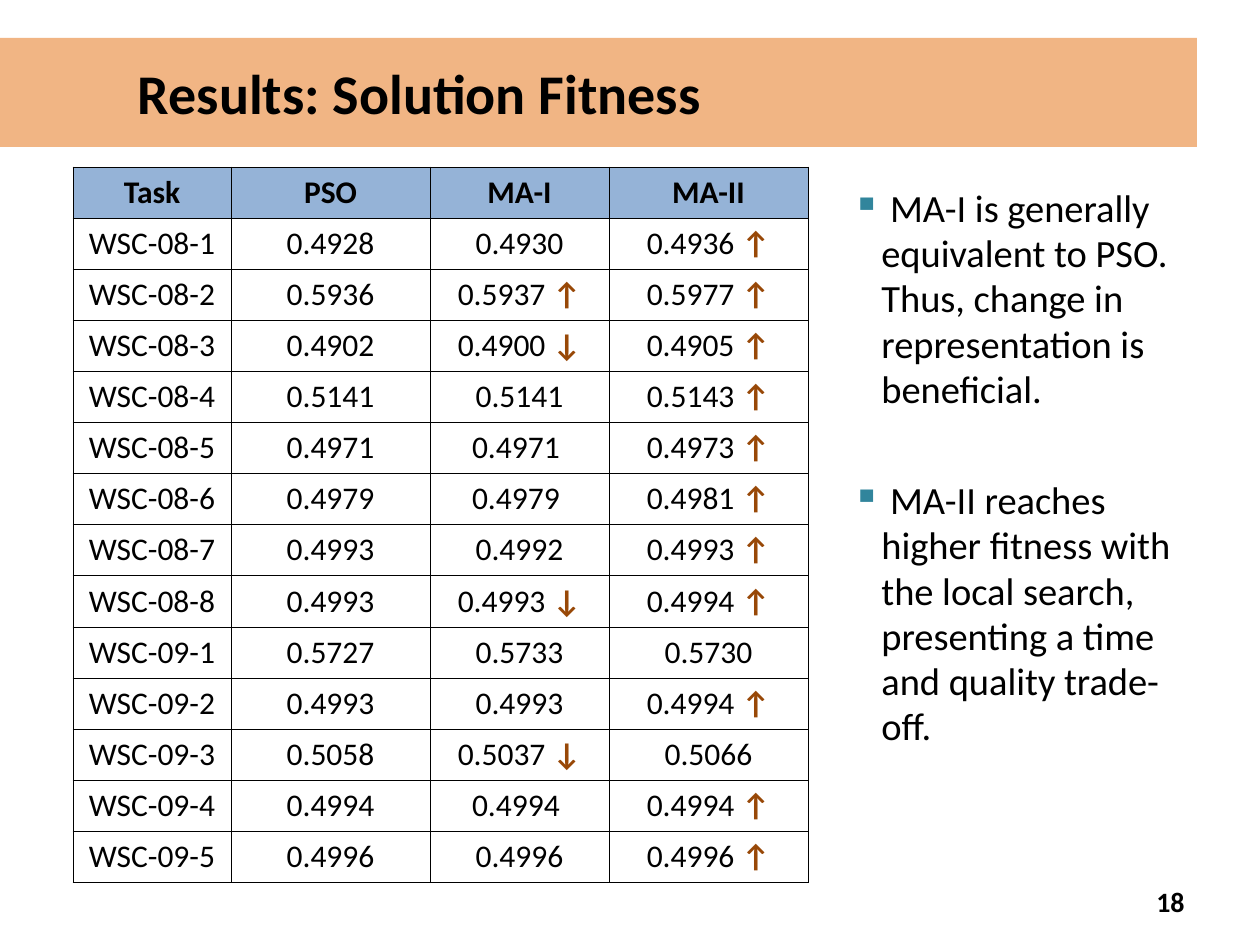
from lxml import etree
from pptx import Presentation
from pptx.dml.color import RGBColor
from pptx.enum.shapes import MSO_SHAPE
from pptx.enum.text import MSO_ANCHOR, PP_ALIGN
from pptx.oxml.ns import qn
from pptx.util import Emu, Pt

RECTANGLE = MSO_SHAPE.RECTANGLE
MIDDLE = MSO_ANCHOR.MIDDLE
LEFT, CENTER, RIGHT = PP_ALIGN.LEFT, PP_ALIGN.CENTER, PP_ALIGN.RIGHT

PX_PER_INCH = 126
FONT = "Calibri"
BLACK, WHITE = "000000", "FFFFFF"
BANNER, HEADER = "E46C0A", "95B3D7"
ARROW, BULLET = "984807", "31859C"

COLUMN_WIDTHS = [158, 199, 179, 199]
FITNESS = [
    ("Task", "PSO", "MA-I", "MA-II"),
    ("WSC-08-1", "0.4928", "0.4930", "0.4936 ↑"),
    ("WSC-08-2", "0.5936", "0.5937 ↑", "0.5977 ↑"),
    ("WSC-08-3", "0.4902", "0.4900 ↓", "0.4905 ↑"),
    ("WSC-08-4", "0.5141", "0.5141", "0.5143 ↑"),
    ("WSC-08-5", "0.4971", "0.4971 ", "0.4973 ↑"),
    ("WSC-08-6", "0.4979", "0.4979 ", "0.4981 ↑"),
    ("WSC-08-7", "0.4993", "0.4992", "0.4993 ↑"),
    ("WSC-08-8", "0.4993", "0.4993 ↓", "0.4994 ↑"),
    ("WSC-09-1", "0.5727", "0.5733", "0.5730"),
    ("WSC-09-2", "0.4993", "0.4993", "0.4994 ↑"),
    ("WSC-09-3", "0.5058", "0.5037 ↓", "0.5066"),
    ("WSC-09-4", "0.4994", "0.4994 ", "0.4994 ↑"),
    ("WSC-09-5", "0.4996", "0.4996", "0.4996 ↑"),
]
FINDINGS = [
    " MA-I is generally equivalent to PSO. Thus, change in representation is beneficial.",
    " MA-II reaches higher fitness with the local search, presenting a time and quality trade-off.",
]


def px(length):
    return Emu(round(length * 914400 / PX_PER_INCH))


def color(hex_string):
    return RGBColor.from_string(hex_string)


def fill_with(target, hex_string):
    target.fill.solid()
    target.fill.fore_color.rgb = color(hex_string)


def style(paragraph, size, bold=False, align=LEFT):
    paragraph.alignment = align
    paragraph.font.name = FONT
    paragraph.font.size = Pt(size)
    paragraph.font.bold = bold
    paragraph.font.color.rgb = color(BLACK)


def add_banner(slide, title):
    banner = slide.shapes.add_shape(RECTANGLE, px(0), px(38), px(1197), px(109))
    banner.shadow.inherit = False
    banner.line.fill.background()
    fill_with(banner, BANNER)
    tint = banner.fill._xPr.find(qn("a:solidFill"))[0]
    etree.SubElement(tint, qn("a:alpha"), val="50000")
    frame = banner.text_frame
    frame.word_wrap = True
    frame.vertical_anchor = MIDDLE
    frame.margin_left = px(138)
    frame.text = title
    style(frame.paragraphs[0], 32, bold=True)


def add_page_number(slide, number):
    frame = slide.shapes.add_textbox(px(903), px(876), px(294), px(50)).text_frame
    frame.word_wrap = True
    frame.vertical_anchor = MIDDLE
    frame.text = number
    style(frame.paragraphs[0], 16, bold=True, align=RIGHT)


def add_borders(cell):
    properties = cell._tc.get_or_add_tcPr()
    for position, side in enumerate(("lnL", "lnR", "lnT", "lnB")):
        border = etree.Element(qn(f"a:{side}"), w=str(Pt(0.45)))
        paint = etree.SubElement(border, qn("a:solidFill"))
        etree.SubElement(paint, qn("a:srgbClr"), val=BLACK)
        properties.insert(position, border)


def fill_cell(cell, text, is_header):
    """Write a cell, with a trailing trend arrow in its own colour."""
    fill_with(cell, HEADER if is_header else WHITE)
    add_borders(cell)
    paragraph = cell.text_frame.paragraphs[0]
    style(paragraph, 18, bold=is_header, align=CENTER)
    value = text.rstrip("↑↓")
    paragraph.add_run().text = value
    if value != text:
        trend = paragraph.add_run()
        trend.text = text[len(value):]
        trend.font.bold = True
        trend.font.color.rgb = color(ARROW)


def add_fitness_table(slide):
    height = px(716)
    table = slide.shapes.add_table(
        len(FITNESS), len(COLUMN_WIDTHS),
        px(73), px(167), px(sum(COLUMN_WIDTHS)), height).table
    table.first_row = False
    table.horz_banding = False
    for column, width in zip(table.columns, COLUMN_WIDTHS):
        column.width = px(width)
    for row_index, (row, texts) in enumerate(zip(table.rows, FITNESS)):
        row.height = height // len(FITNESS)
        for cell, text in zip(row.cells, texts):
            fill_cell(cell, text, is_header=row_index == 0)


def add_bullet(paragraph):
    properties = paragraph._p.get_or_add_pPr()
    properties.set("marL", str(px(29)))
    properties.set("indent", str(-px(29)))
    paint = etree.SubElement(properties, qn("a:buClr"))
    etree.SubElement(paint, qn("a:srgbClr"), val=BULLET)
    etree.SubElement(properties, qn("a:buChar"), char="▪")


def add_findings(slide):
    frame = slide.shapes.add_textbox(px(840), px(180), px(357), px(682)).text_frame
    frame.word_wrap = True
    for index, finding in enumerate(FINDINGS):
        paragraph = frame.add_paragraph() if index else frame.paragraphs[0]
        paragraph.text = finding
        add_bullet(paragraph)
        style(paragraph, 22)
        paragraph.line_spacing = 0.98
        if index:
            paragraph.space_before = px(66)


def main():
    presentation = Presentation()
    presentation.slide_width = px(1260)
    presentation.slide_height = px(945)
    slide = presentation.slides.add_slide(presentation.slide_layouts[6])
    add_banner(slide, "Results: Solution Fitness")
    add_page_number(slide, "18")
    add_fitness_table(slide)
    add_findings(slide)
    presentation.save("out.pptx")


if __name__ == "__main__":
    main()
